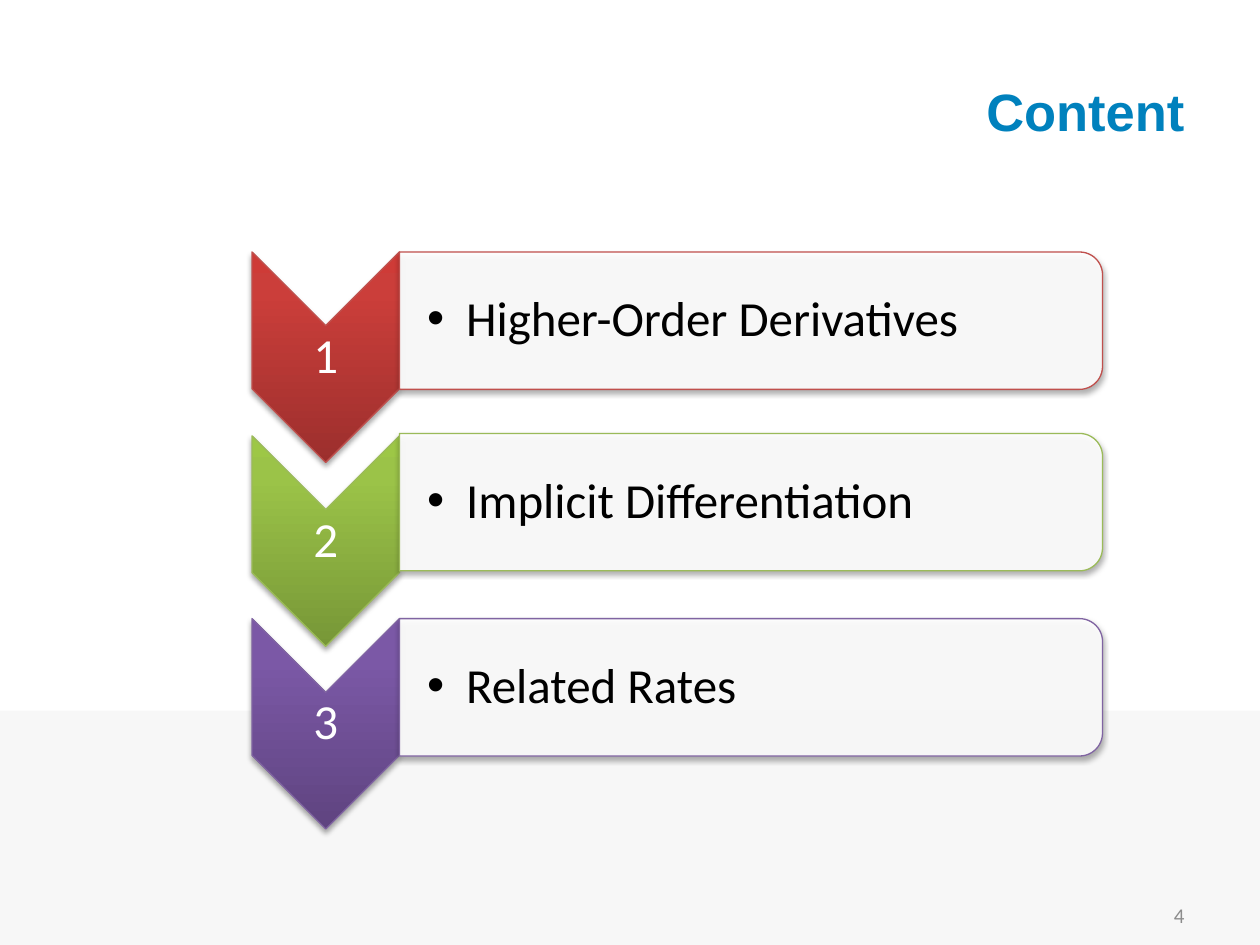
from dataclasses import dataclass

from pptx import Presentation
from pptx.dml.color import RGBColor
from pptx.enum.shapes import MSO_SHAPE
from pptx.enum.text import MSO_ANCHOR, PP_ALIGN
from pptx.oxml import parse_xml
from pptx.oxml.ns import qn
from pptx.util import Inches, Pt

NS = 'xmlns:a="http://schemas.openxmlformats.org/drawingml/2006/main"'


@dataclass(frozen=True)
class Theme:
    title: str = "0081BD"
    band: str = "F7F7F7"
    page: str = "8C8C8C"
    light: str = "FFFFFF"
    dark: str = "000000"
    head: int = 30
    body: int = 28
    small: int = 12


THEME = Theme()

# number, label, line colour, gradient from bottom to top, arrow top, panel top
ROWS = [
    ("1", "Higher-Order Derivatives", "C0504D", ("9C2F2D", "CB3E3A", "CE3B37"), 2, 2),
    ("2", "Implicit Differentiation", "9BBB59", ("779737", "9BC348", "9DC746"), 3.46, 3.44),
    ("3", "Related Rates", "8064A2", ("5F4480", "7B58A6", "7C57A8"), 4.91, 4.91),
]


def add_text(slide, box, text, size, color, align=PP_ALIGN.LEFT, font="Calibri",
             bold=False, inset=None, bullet=False):
    frame = slide.shapes.add_textbox(*map(Inches, box)).text_frame
    frame.word_wrap = True
    frame.vertical_anchor = MSO_ANCHOR.MIDDLE
    if inset is not None:
        frame.margin_left = Inches(inset)
        frame.margin_right = frame.margin_top = frame.margin_bottom = Inches(0.02)
    frame.text = text
    para = frame.paragraphs[0]
    para.alignment = align
    if inset is not None:
        para.line_spacing = 0.9
    if bullet:
        props = para._p.get_or_add_pPr()
        props.set("marL", str(Inches(0.31)))
        props.set("indent", str(-Inches(0.31)))
        props.append(parse_xml(f'<a:buFont {NS} typeface="Arial"/>'))
        props.append(parse_xml(f'<a:buChar {NS} char="•"/>'))
    style = para.runs[0].font
    style.name, style.size, style.bold = font, Pt(size), bold
    style.color.rgb = RGBColor.from_string(color)


def add_turned(slide, kind, box, line):
    """Add a shape turned a quarter clockwise that fills the box as seen."""
    left, top, width, height = box
    shift = (width - height) / 2
    shape = slide.shapes.add_shape(
        kind, Inches(left + shift), Inches(top - shift), Inches(height), Inches(width))
    shape.rotation = 90
    shape.line.color.rgb = RGBColor.from_string(line)
    shape.line.width = Pt(0.75)
    shape.shadow.inherit = False
    shape._element.spPr.find(qn("a:effectLst")).append(parse_xml(
        f'<a:outerShdw {NS} blurRad="{Pt(3.1)}" dist="{Pt(1.8)}" dir="5400000" '
        'rotWithShape="0"><a:srgbClr val="000000"><a:alpha val="35000"/>'
        '</a:srgbClr></a:outerShdw>'))
    return shape


def add_arrow(slide, box, number, line, shades):
    shape = add_turned(slide, MSO_SHAPE.CHEVRON, box, line)
    stops = "".join(
        f'<a:gs pos="{place}"><a:srgbClr val="{shade}"/></a:gs>'
        for place, shade in zip((0, 80000, 100000), shades))
    shape._element.spPr.find(qn("a:prstGeom")).addnext(parse_xml(
        f'<a:gradFill {NS} rotWithShape="0"><a:gsLst>{stops}</a:gsLst>'
        '<a:lin ang="16200000" scaled="0"/></a:gradFill>'))
    left, top, width, height = box
    add_text(slide, (left, top + width / 2, width, height - width), number,
             THEME.body, THEME.light, PP_ALIGN.CENTER, inset=0.02)


def add_panel(slide, box, label, line):
    shape = add_turned(slide, MSO_SHAPE.ROUND_2_SAME_RECTANGLE, box, line)
    shape.fill.solid()
    shape.fill.fore_color.rgb = RGBColor.from_string(THEME.light)
    color = shape._element.spPr.find(qn("a:solidFill"))[0]
    color.append(parse_xml(f'<a:alpha {NS} val="90000"/>'))
    left, top, width, height = box
    add_text(slide, (left, top + 0.05, width - 0.05, height - 0.1), label,
             THEME.body, THEME.dark, inset=0.22, bullet=True)


def add_list(slide, box):
    left, top, width, _ = box
    tip = 1.17
    for number, label, line, shades, high, low in ROWS:
        add_arrow(slide, (left, top + high - 2, tip, 1.67), number, line, shades)
        add_panel(slide, (left + tip, top + low - 2, width - tip, 1.09), label, line)


def add_band(slide, box):
    band = slide.shapes.add_shape(MSO_SHAPE.RECTANGLE, *map(Inches, box))
    band.fill.solid()
    band.fill.fore_color.rgb = RGBColor.from_string(THEME.band)
    band.line.fill.background()
    band.shadow.inherit = False


def main():
    deck = Presentation()
    deck.slide_width, deck.slide_height = Inches(10), Inches(7.5)
    slide = deck.slides.add_slide(deck.slide_layouts[6])
    add_band(slide, (0, 5.64, 10, 1.86))
    add_text(slide, (7.17, 7.06, 2.33, 0.4), "4", THEME.small, THEME.page, PP_ALIGN.RIGHT)
    add_list(slide, (2, 2, 6.75, 4.58))
    add_text(slide, (0.5, 0.25, 9, 1.25), "Content", THEME.head, THEME.title,
             PP_ALIGN.RIGHT, font="Arial", bold=True)
    deck.save("out.pptx")


if __name__ == "__main__":
    main()
